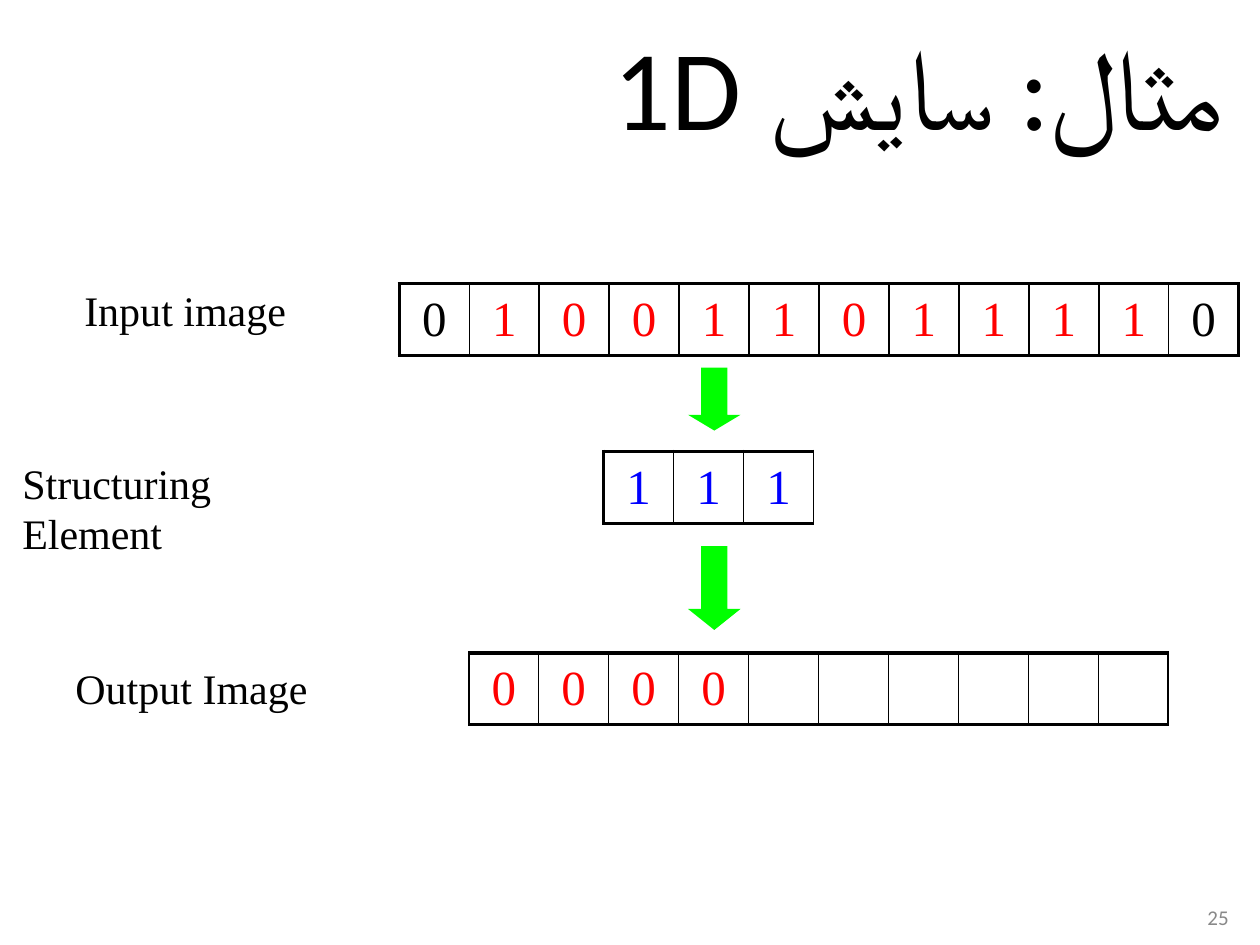
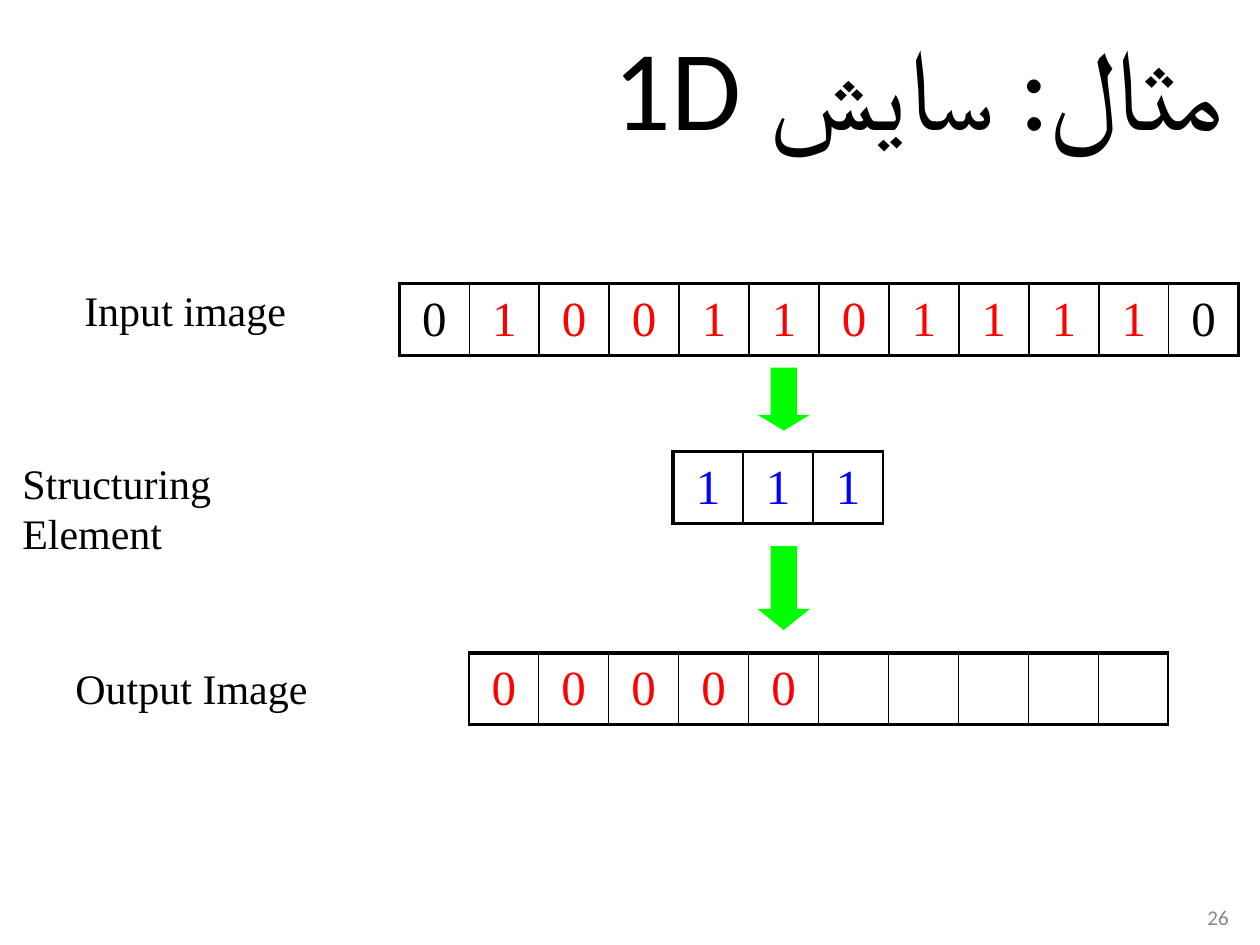
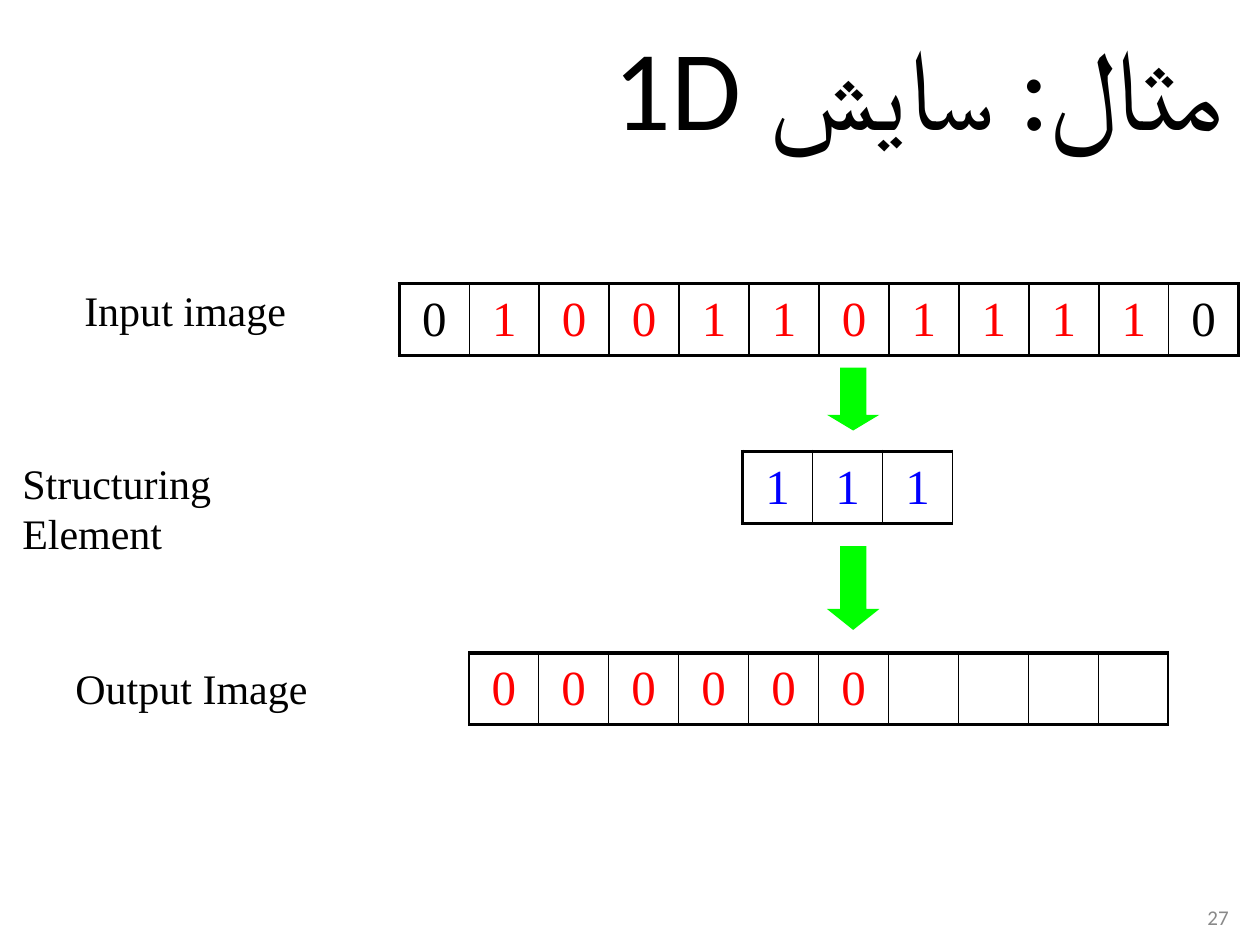
from lxml import etree
from pptx import Presentation
from pptx import util as u
from pptx.dml.color import RGBColor
from pptx.enum import shapes, text
from pptx.oxml.ns import qn

SERIF, SANS = "Times New Roman", "Calibri"
BLACK, RED, BLUE, GREEN, GREY = "000000", "FF0000", "0000FF", "00FF00", "898989"
THIN, THICK = 1, 2.25

CELL_WIDTH, CELL_HEIGHT = 1.41, 1.45
INPUT_LEFT, INPUT_TOP = 8.05, 5.72
ELEMENT_LEFT, ELEMENT_TOP, ELEMENT_STEP = 12.17, 9.1, 1.4
OUTPUT_LEFT, OUTPUT_TOP = 9.45, 13.16
ARROW_OFFSET, ARROW_WIDTH = 1.7, 1.06

TITLE_RUNS = [("مثال: ", SANS), ("سایش ", SERIF), ("1D", SANS)]
LABELS = [
    ("Input image", 1.45, 5.61, 4.57),
    ("Structuring Element", 0.2, 9.1, 7.34),
    ("Output Image", 1.27, 13.23, 5.18),
]
INPUT_BITS = "010011011110"
INPUT_COLOURS = [BLACK] + [RED] * 10 + [BLACK]
OUTPUT_LENGTH = 10
FIRST_PAGE, FIRST_OUTPUT_COUNT, STEPS = 25, 4, 3


def colour(value):
    return RGBColor.from_string(value)


def set_borders(cell, left, right):
    """Draw black sides of the given widths between thick top and bottom lines."""
    properties = cell._tc.get_or_add_tcPr()
    widths = {"a:lnL": left, "a:lnR": right, "a:lnT": THICK, "a:lnB": THICK}
    for position, (tag, width) in enumerate(widths.items()):
        line = etree.Element(qn(tag), w=str(u.Pt(width)))
        fill = etree.SubElement(line, qn("a:solidFill"))
        etree.SubElement(fill, qn("a:srgbClr"), val=BLACK)
        properties.insert(position, line)


class Deck:
    def __init__(self):
        self.presentation = Presentation()
        self.presentation.slide_width = u.Cm(25.4)
        self.presentation.slide_height = u.Cm(19.05)
        self.slide = None

    def add_slide(self):
        self.slide = self.presentation.slides.add_slide(self.presentation.slide_layouts[6])

    def style(self, run, size, font=SERIF, hex_colour=BLACK):
        run.font.size = u.Pt(size)
        run.font.name = font
        run.font.color.rgb = colour(hex_colour)

    def text_box(self, left, top, width, height, wrap=True):
        box = self.slide.shapes.add_textbox(u.Cm(left), u.Cm(top), u.Cm(width), u.Cm(height))
        box.text_frame.word_wrap = wrap
        return box.text_frame

    def title(self):
        frame = self.text_box(-0.05, 0.13, 25.45, 3.18)
        frame.vertical_anchor = text.MSO_ANCHOR.MIDDLE
        paragraph = frame.paragraphs[0]
        paragraph.alignment = text.PP_ALIGN.JUSTIFY
        properties = paragraph._p.get_or_add_pPr()
        properties.set("rtl", "1")
        properties.set("marL", str(u.Cm(0.5)))
        properties.set("indent", "0")
        for words, font in TITLE_RUNS:
            run = paragraph.add_run()
            run.text = words
            self.style(run, 65, font)
            etree.SubElement(run._r.get_or_add_rPr(), qn("a:cs"), typeface=font)

    def page_number(self, number):
        frame = self.text_box(19.1, 17.98, 5.92, 1.02)
        frame.vertical_anchor = text.MSO_ANCHOR.MIDDLE
        frame.text = str(number)
        frame.paragraphs[0].alignment = text.PP_ALIGN.RIGHT
        self.style(frame.paragraphs[0].runs[0], 12, SANS, GREY)

    def label(self, words, left, top, width):
        frame = self.text_box(left, top, width, 1.27, wrap=False)
        frame.auto_size = text.MSO_AUTO_SIZE.SHAPE_TO_FIT_TEXT
        frame.text = words
        self.style(frame.paragraphs[0].runs[0], 24)

    def down_arrow(self, left, top, height, head):
        arrow = self.slide.shapes.add_shape(
            shapes.MSO_SHAPE.DOWN_ARROW,
            u.Cm(left), u.Cm(top), u.Cm(ARROW_WIDTH), u.Cm(height))
        arrow.adjustments[0] = 0.5
        arrow.adjustments[1] = head
        arrow.shadow.inherit = False
        arrow.fill.solid()
        arrow.fill.fore_color.rgb = colour(GREEN)
        arrow.line.fill.background()

    def bit_row(self, bits, colours, left, top, left_edge=THIN, right_edge=THIN):
        """Add a one-row table; an empty string in bits leaves its cell blank."""
        count = len(bits)
        table = self.slide.shapes.add_table(
            1, count, u.Cm(left), u.Cm(top),
            u.Cm(CELL_WIDTH * count), u.Cm(CELL_HEIGHT)).table
        table.first_row = table.horz_banding = False
        for index, (bit, hex_colour) in enumerate(zip(bits, colours)):
            table.columns[index].width = u.Cm(CELL_WIDTH)
            cell = table.cell(0, index)
            cell.fill.background()
            cell.vertical_anchor = text.MSO_ANCHOR.MIDDLE
            set_borders(cell,
                        left_edge if index == 0 else THIN,
                        right_edge if index == count - 1 else THIN)
            if bit:
                paragraph = cell.text_frame.paragraphs[0]
                paragraph.text = bit
                paragraph.alignment = text.PP_ALIGN.CENTER
                self.style(paragraph.runs[0], 28, SERIF, hex_colour)


def add_erosion_slide(deck, step):
    element_left = ELEMENT_LEFT + step * ELEMENT_STEP
    arrow_left = element_left + ARROW_OFFSET
    known = FIRST_OUTPUT_COUNT + step
    output_bits = ["0"] * known + [""] * (OUTPUT_LENGTH - known)

    deck.add_slide()
    deck.title()
    deck.page_number(FIRST_PAGE + step)
    for label in LABELS:
        deck.label(*label)
    deck.down_arrow(arrow_left, 11.01, 1.69, head=0.4)
    deck.down_arrow(arrow_left, 7.41, 1.27, head=0.3)
    deck.bit_row("111", [BLUE] * 3, element_left, ELEMENT_TOP, left_edge=THICK)
    deck.bit_row(output_bits, [RED] * OUTPUT_LENGTH, OUTPUT_LEFT, OUTPUT_TOP)
    deck.bit_row(INPUT_BITS, INPUT_COLOURS, INPUT_LEFT, INPUT_TOP, THICK, THICK)


def main():
    deck = Deck()
    for step in range(STEPS):
        add_erosion_slide(deck, step)
    deck.presentation.save("out.pptx")


if __name__ == "__main__":
    main()
